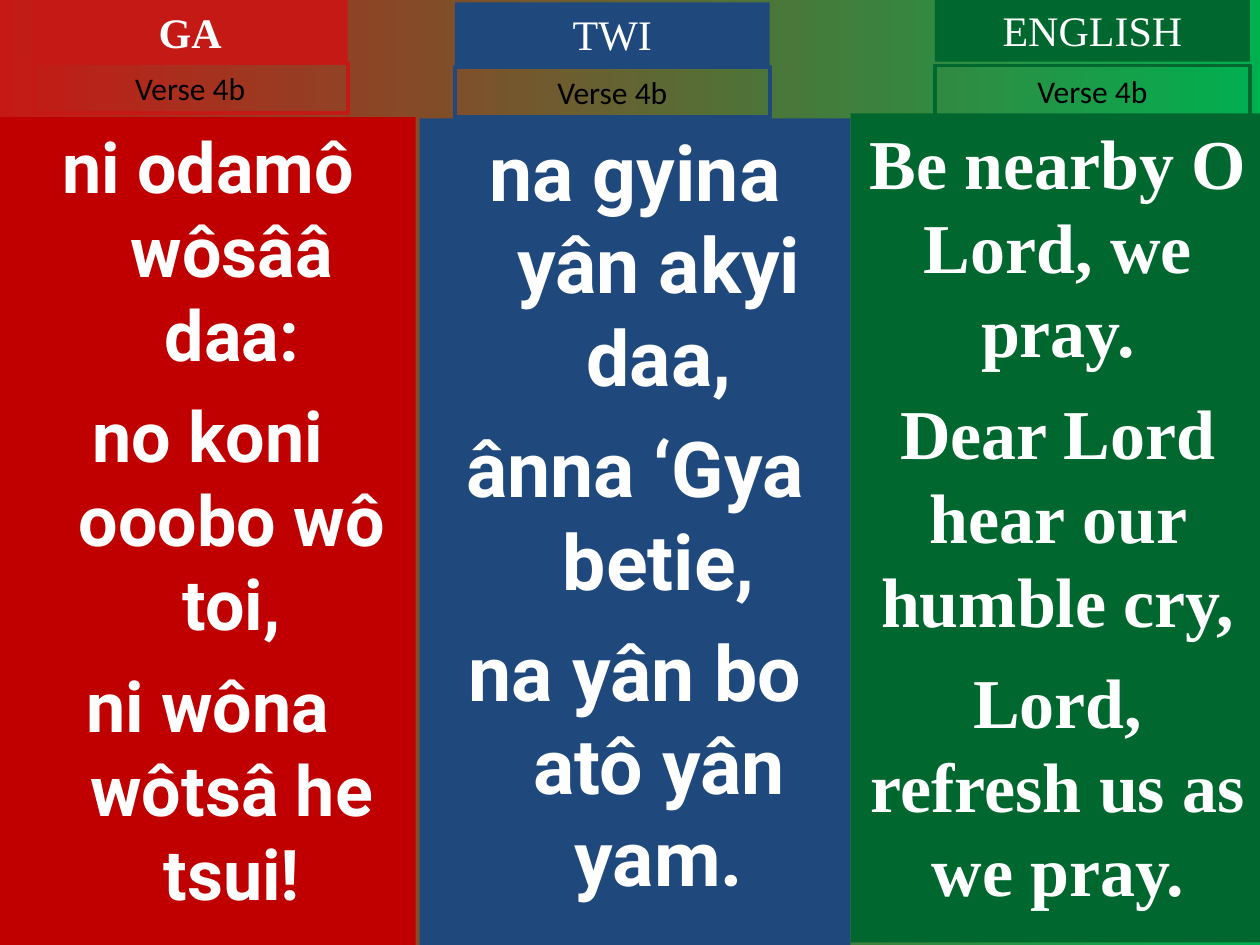
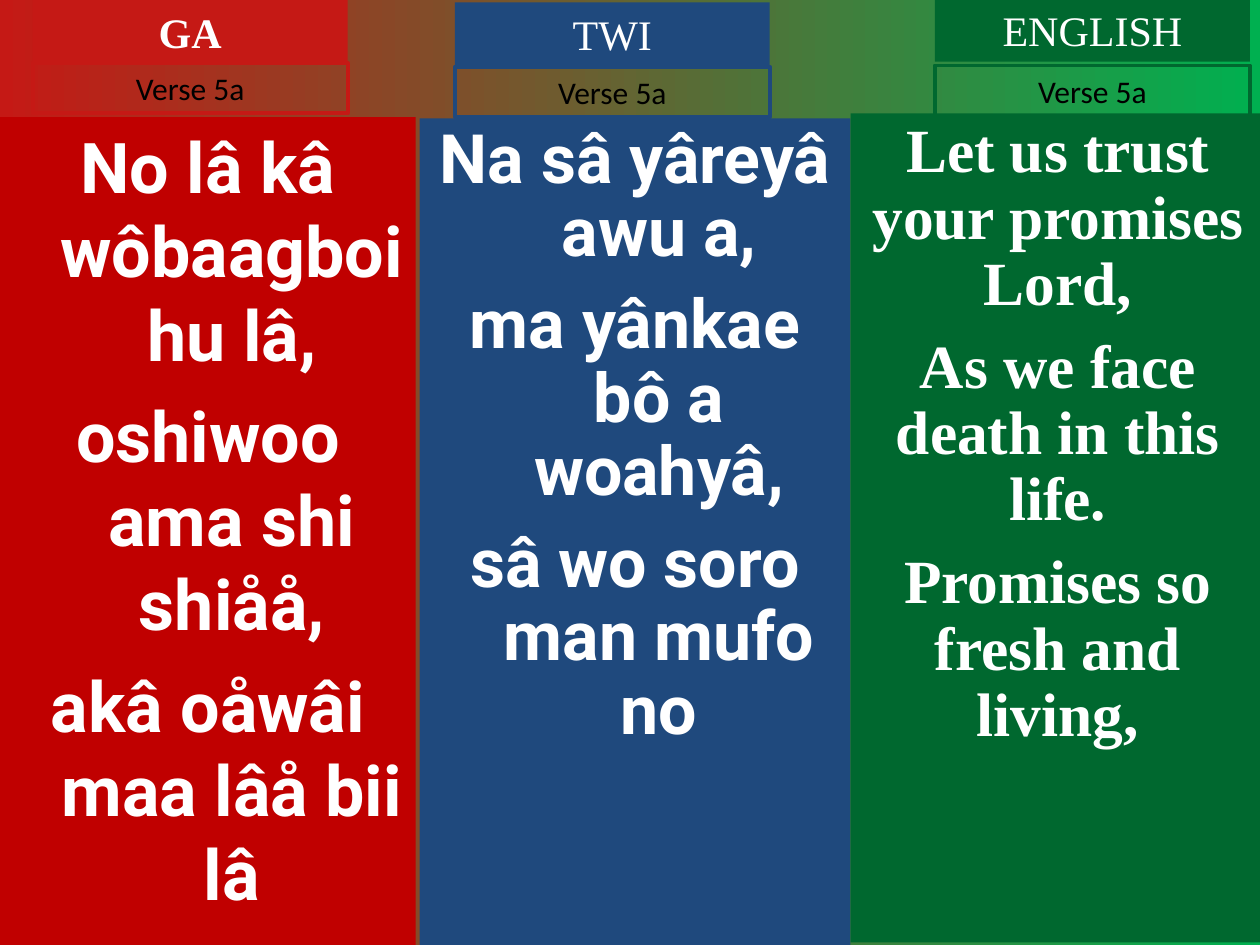
from collections import namedtuple

from pptx import Presentation
from pptx.dml.color import RGBColor
from pptx.enum.shapes import MSO_SHAPE
from pptx.enum.text import MSO_ANCHOR, MSO_AUTO_SIZE, PP_ALIGN
from pptx.util import Inches, Pt

RED = RGBColor(0xC0, 0x00, 0x00)
BRIGHT_RED = RGBColor(0xC5, 0x19, 0x15)
BLUE = RGBColor(0x1F, 0x49, 0x7D)
GREEN = RGBColor(0x00, 0x68, 0x2F)
BRIGHT_GREEN = RGBColor(0x00, 0xB0, 0x50)
WHITE = RGBColor(0xFF, 0xFF, 0xFF)
BLACK = RGBColor(0x00, 0x00, 0x00)
SERIF, SANS, LABEL = "Times New Roman", "Roboto", "Calibri"

Language = namedtuple("Language", "name bold font hanging panel_color tab_color panel tab_left name_top verse_top")
Lyrics = namedtuple("Lyrics", "lines size before spacing", defaults=(40, 10, None))

LANGUAGES = [
    Language("GA", True, SANS, 0.38, RED, BRIGHT_RED, (0, 0.93, 3.3, 6.57), 0.26, 0, 0.5),
    Language("TWI", False, SANS, 0.38, BLUE, BLUE, (3.33, 0.94, 3.42, 6.56), 3.61, 0.02, 0.53),
    Language("ENGLISH", False, SERIF, 0, GREEN, GREEN, (6.75, 0.9, 3.29, 6.58), 7.42, -0.01, 0.52),
]

VERSES = {
    "Verse 4b": [
        Lyrics(["ni odamô wôsââ daa:", "no koni ooobo wô toi,", "ni wôna wôtsâ he tsui!"]),
        Lyrics(["na gyina yân akyi daa,", "ânna ‘Gya betie,", "na yân bo atô yân yam."], 44, 11),
        Lyrics(["Be nearby O Lord, we pray.", "Dear Lord hear our humble cry,",
                "Lord, refresh us as we pray."]),
    ],
    "Verse 5a": [
        Lyrics(["No lâ kâ wôbaagboi hu lâ,", "oshiwoo ama shi shiåå,", "akâ oåwâi maa lâå bii lâ"]),
        Lyrics(["Na sâ yâreyâ awu a,", "ma yânkae bô a woahyâ,", "sâ wo soro man mufo no"],
               38.9, 10.5, 0.9),
        Lyrics(["Let us trust your promises Lord,", "As we face death in this life.",
                "Promises so fresh and living,"], 35.1, 9.5, 0.9),
    ],
}


class HymnDeck:
    """Builds three-language hymn slides in one shared style."""

    def __init__(self):
        self.prs = Presentation()
        self.prs.slide_width, self.prs.slide_height = Inches(10), Inches(7.5)
        self.s = None

    def slide(self):
        self.s = self.prs.slides.add_slide(self.prs.slide_layouts[6])
        fill = self.s.background.fill
        fill.gradient()
        fill.gradient_angle = 0
        for stop, color in zip(fill.gradient_stops, (BRIGHT_RED, BRIGHT_GREEN)):
            stop.color.rgb = color

    def box(self, at, fill=None, line=None):
        sp = self.s.shapes.add_shape(MSO_SHAPE.RECTANGLE, *map(Inches, at))
        sp.shadow.inherit = False
        if fill is None:
            sp.fill.background()
        else:
            sp.fill.solid()
            sp.fill.fore_color.rgb = fill
        if line is None:
            sp.line.fill.background()
        else:
            sp.line.color.rgb = line
            sp.line.width = Pt(2.25)
        tf = sp.text_frame
        tf.word_wrap = True
        tf.vertical_anchor = MSO_ANCHOR.TOP
        return tf

    def text(self, p, text, size, font, color=WHITE, bold=False):
        p.alignment = PP_ALIGN.CENTER
        r = p.add_run()
        r.text = text
        r.font.size, r.font.name, r.font.bold = Pt(size), font, bold
        r.font.color.rgb = color

    def panel(self, lang, lyrics):
        tf = self.box(lang.panel, fill=lang.panel_color)
        for i, line in enumerate(lyrics.lines):
            p = tf.add_paragraph() if i else tf.paragraphs[0]
            if lang.hanging:
                pPr = p._p.get_or_add_pPr()
                pPr.set("marL", str(Inches(lang.hanging)))
                pPr.set("indent", str(-Inches(lang.hanging)))
            if lyrics.spacing:
                p.line_spacing = lyrics.spacing
            p.space_before = Pt(lyrics.before if i else 0)
            self.text(p, line, lyrics.size, lang.font, bold=True)

    def tab(self, lang, verse):
        tf = self.box((lang.tab_left, lang.name_top, 2.5, 0.5), fill=lang.tab_color)
        tf.auto_size = MSO_AUTO_SIZE.SHAPE_TO_FIT_TEXT
        self.text(tf.paragraphs[0], lang.name, 24, SERIF, bold=lang.bold)
        tf = self.box((lang.tab_left, lang.verse_top, 2.5, 0.4), line=lang.tab_color)
        tf.auto_size = MSO_AUTO_SIZE.SHAPE_TO_FIT_TEXT
        self.text(tf.paragraphs[0], verse, 18, LABEL, BLACK)


def main():
    deck = HymnDeck()
    for verse, columns in VERSES.items():
        deck.slide()
        for lang, lyrics in zip(LANGUAGES, columns):
            deck.panel(lang, lyrics)
            deck.tab(lang, verse)
    deck.prs.save("out.pptx")


if __name__ == "__main__":
    main()
